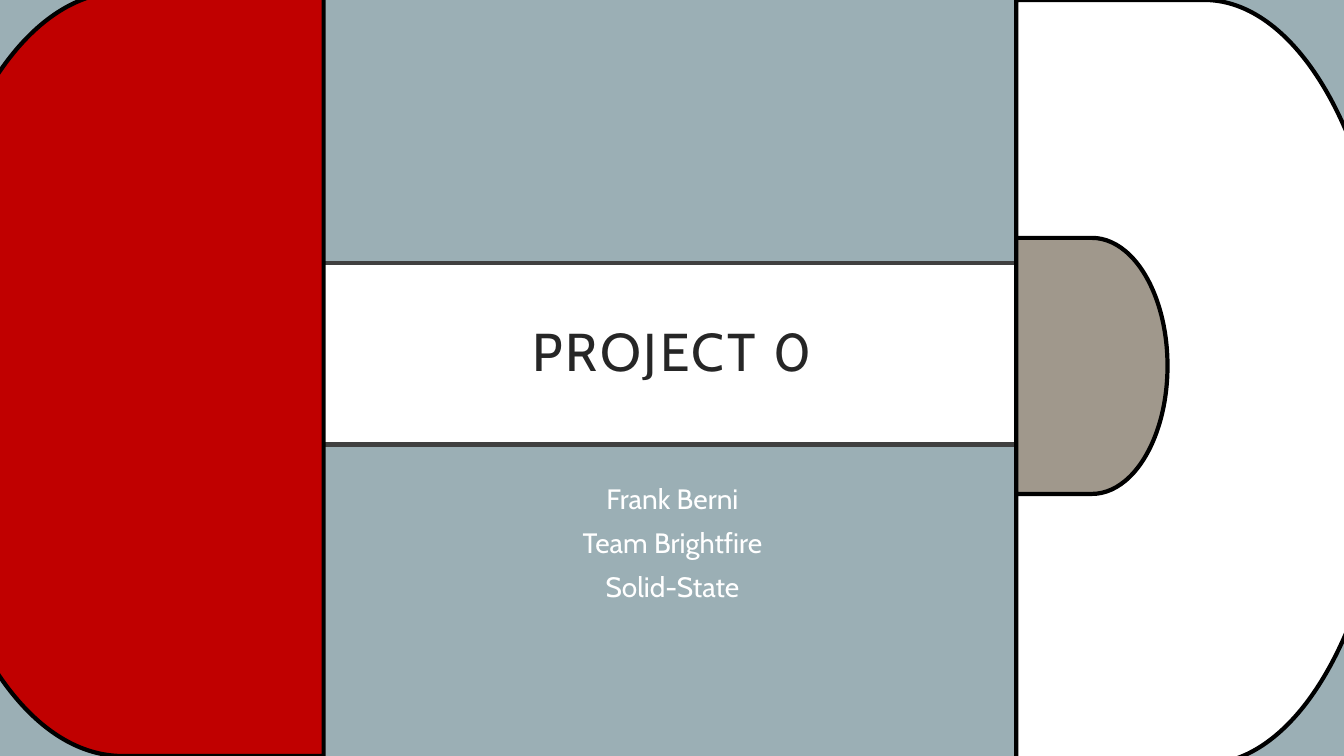
from dataclasses import dataclass

from pptx import Presentation
from pptx.dml.color import RGBColor
from pptx.enum.shapes import MSO_SHAPE
from pptx.enum.text import MSO_ANCHOR, MSO_AUTO_SIZE, PP_ALIGN
from pptx.util import Inches, Pt

DELAY = MSO_SHAPE.FLOWCHART_DELAY
CENTER = PP_ALIGN.CENTER
TOP, MIDDLE = MSO_ANCHOR.TOP, MSO_ANCHOR.MIDDLE
NO_FIT = MSO_AUTO_SIZE.NONE
WIDTH, HEIGHT = Inches(13.33), Inches(7.5)


@dataclass(frozen=True)
class Theme:
    """Colours, type sizes and line width of the slide."""

    font: str = "Cabin"
    title_size: int = 38
    body_size: int = 20
    line_width: int = 3
    background: str = "9BAFB5"
    white: str = "FFFFFF"
    black: str = "000000"
    red: str = "C00000"
    taupe: str = "A0988C"
    frame: str = "404040"
    ink: str = "262626"


THEME = Theme()


def area(left, top, width, height):
    """Turn percentages of the slide into a box in slide units."""
    return (int(WIDTH * left / 100), int(HEIGHT * top / 100),
            int(WIDTH * width / 100), int(HEIGHT * height / 100))


def place(box, place_area):
    """Move and size a box."""
    box.left, box.top, box.width, box.height = place_area


def paint(box, fill, line):
    """Give a box a solid fill and an outline."""
    box.fill.solid()
    box.fill.fore_color.rgb = RGBColor.from_string(fill)
    box.line.color.rgb = RGBColor.from_string(line)
    box.line.width = Pt(THEME.line_width)


def write(box, lines, size, color, anchor=TOP, before=0, spacing=0):
    """Write centred lines of text into a box."""
    frame = box.text_frame
    frame.word_wrap = True
    frame.auto_size = NO_FIT
    frame.vertical_anchor = anchor
    frame.text = "\n".join(lines)
    for para in frame.paragraphs:
        para.alignment = CENTER
        para.line_spacing = 0.9
        para.space_before = Pt(before)
        for span in para.runs:
            span.font.name = THEME.font
            span.font.size = Pt(size)
            span.font.color.rgb = RGBColor.from_string(color)
            span.font._element.set("spc", str(spacing * 100))


def add_delay(page, delay_area, fill, rotation=0):
    """Add an outlined half-rounded panel."""
    panel = page.shapes.add_shape(DELAY, *delay_area)
    panel.rotation = rotation
    panel.shadow.inherit = False
    paint(panel, fill, THEME.black)


def add_title(page, text):
    """Fill the title placeholder as a framed banner."""
    title = page.shapes.title
    place(title, area(13.13, 34.8, 73.74, 24))
    paint(title, THEME.white, THEME.frame)
    frame = title.text_frame
    frame.margin_left = frame.margin_right = Inches(0.3)
    frame.margin_top = frame.margin_bottom = Inches(0.2)
    write(title, [text], THEME.title_size, THEME.ink, anchor=MIDDLE, spacing=2)


def add_subtitle(page, lines):
    """Fill the subtitle placeholder."""
    subtitle = page.placeholders[1]
    place(subtitle, area(22.13, 63.47, 55.81, 18.13))
    write(subtitle, lines, THEME.body_size, THEME.white, before=10)


def main():
    """Build the title slide and save it."""
    deck = Presentation()
    deck.slide_width, deck.slide_height = WIDTH, HEIGHT
    page = deck.slides.add_slide(deck.slide_layouts[0])
    page.background.fill.solid()
    page.background.fill.fore_color.rgb = RGBColor.from_string(THEME.background)

    add_title(page, "PROJECT 0")
    add_subtitle(page, ["Frank Berni", "Team Brightfire", "Solid-State"])
    add_delay(page, area(-5.85, -1.07, 29.93, 101.07), THEME.red, rotation=180)
    add_delay(page, area(75.62, 0, 27.98, 101.07), THEME.white)
    add_delay(page, area(75.62, 31.47, 11.25, 33.87), THEME.taupe)
    deck.save("out.pptx")


if __name__ == "__main__":
    main()
